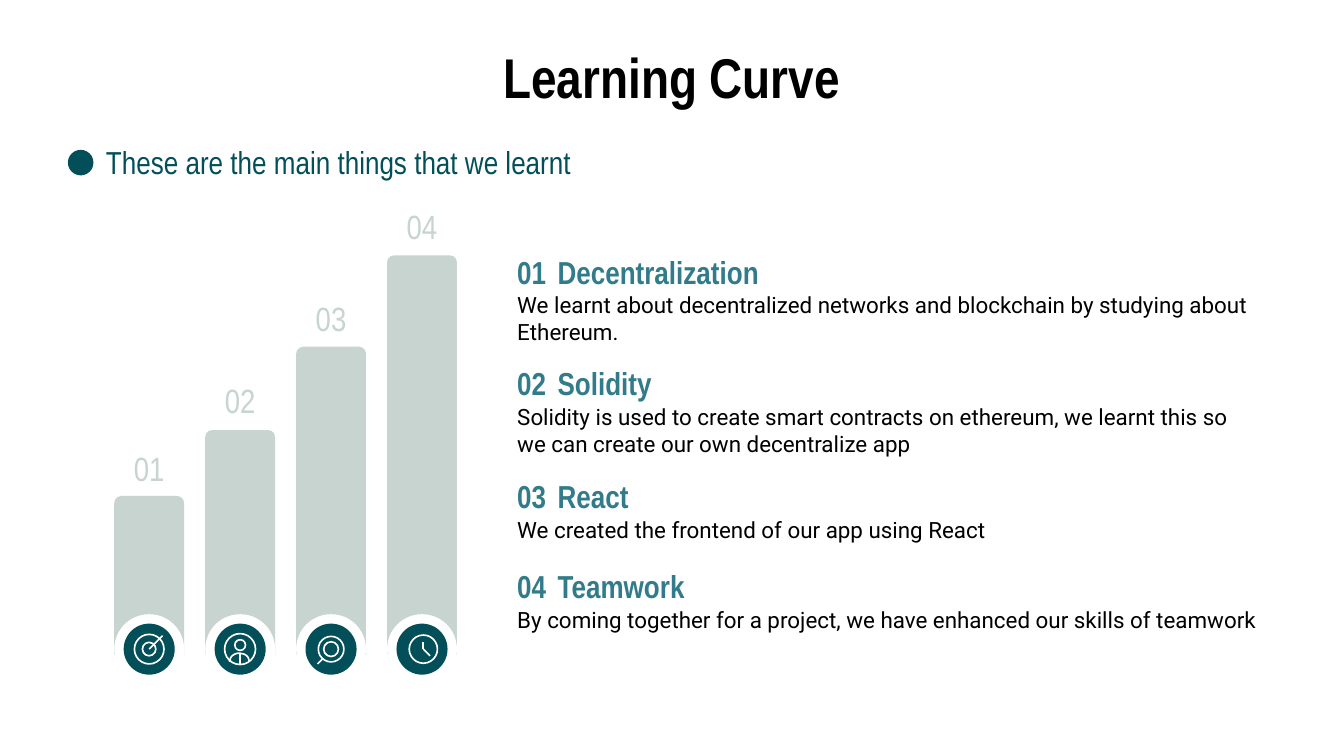
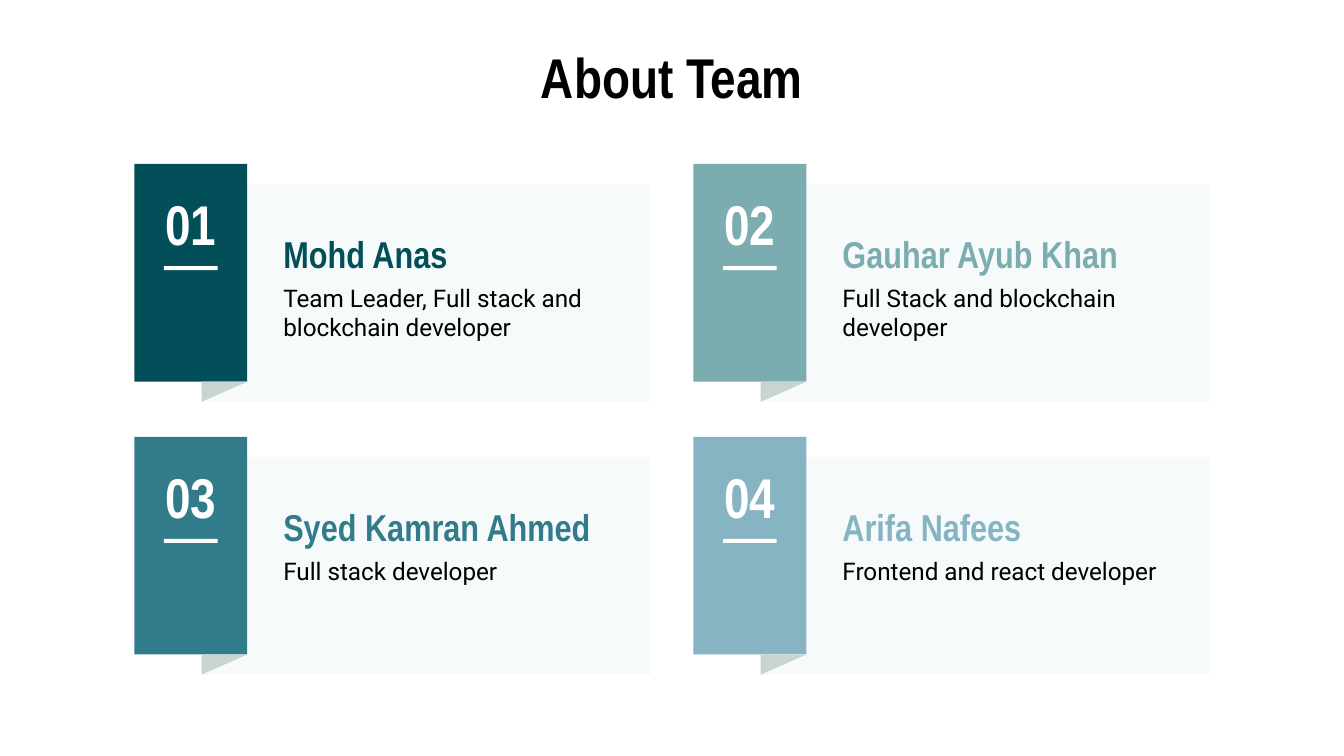
from dataclasses import dataclass
from typing import Union

from lxml import etree
from pptx import Presentation
from pptx.dml.color import RGBColor
from pptx.enum.shapes import MSO_CONNECTOR, MSO_SHAPE
from pptx.enum.text import MSO_ANCHOR, PP_ALIGN
from pptx.oxml.ns import qn
from pptx.shapes.autoshape import Shape
from pptx.shapes.shapetree import GroupShapes, SlideShapes
from pptx.slide import Slide
from pptx.util import Inches, Pt

Shapes = Union[SlideShapes, GroupShapes]

OVAL = MSO_SHAPE.OVAL
ARC = MSO_SHAPE.ARC
RECT = MSO_SHAPE.RECTANGLE
ROUND_TOP = MSO_SHAPE.ROUND_2_SAME_RECTANGLE
STRAIGHT = MSO_CONNECTOR.STRAIGHT
TOP = MSO_ANCHOR.TOP
LEFT = PP_ALIGN.LEFT
CENTER = PP_ALIGN.CENTER

DARK = "024F59"
TEAL = "327B8A"
SAGE = "7BACB0"
SKY = "86B4C2"
GREY = "C7D4CF"
PALE = "F7FAFB"
WHITE = "FFFFFF"
BLACK = "000000"

HEAD_FONT = "Arial Narrow"
BODY_FONT = "Roboto"
ICON_PEN = 0.88


@dataclass(frozen=True)
class Style:
    size: float
    color: str
    font: str = HEAD_FONT
    bold: bool = False
    align: PP_ALIGN = LEFT


@dataclass(frozen=True)
class Ring:
    x: float
    y: float
    size: float


@dataclass(frozen=True)
class Stroke:
    x1: float
    y1: float
    x2: float
    y2: float


@dataclass(frozen=True)
class Bar:
    top: float
    label: float
    rings: tuple[Ring, ...]
    strokes: tuple[Stroke, ...]


@dataclass(frozen=True)
class Topic:
    top: float
    name: str
    text: str


@dataclass(frozen=True)
class Member:
    name: str
    role: str
    color: str


BAR_LEFT, BAR_STEP, BAR_WIDTH = 0.85, (2.88 - 0.85) / 3, 0.52
BAR_FOOT, ICON_Y = 4.87, 4.83

BARS = [
    Bar(3.69, 3.23, (Ring(0, 0, 0.22), Ring(0, 0, 0.1)),
        (Stroke(0, 0, 0.1, -0.1),)),
    Bar(3.2, 2.73, (Ring(0, -0.03, 0.08), Ring(0, 0, 0.23)),
        (Stroke(0, 0.12, 0, 0.03),)),
    Bar(2.58, 2.12, (Ring(0, 0, 0.19), Ring(0, 0, 0.11)),
        (Stroke(-0.1, 0.11, -0.06, 0.07),)),
    Bar(1.9, 1.43, (Ring(0.01, 0, 0.21),),
        (Stroke(0.01, 0, 0.06, 0.05), Stroke(0.01, -0.05, 0.01, 0))),
]
PERSON = 1

TOPICS = [
    Topic(1.78, "Decentralization",
          "We learnt about decentralized networks and blockchain by "
          "studying about Ethereum."),
    Topic(2.61, "Solidity",
          "Solidity is used to create smart contracts on ethereum, we learnt "
          "this so we can create our own decentralize app"),
    Topic(3.45, "React", "We created the frontend of our app using React"),
    Topic(4.12, "Teamwork",
          "By coming together for a project, we have enhanced our skills "
          "of teamwork"),
]

TEAM = [
    Member("Mohd Anas", "Team Leader, Full stack and blockchain developer", DARK),
    Member("Gauhar Ayub Khan", "Full Stack and blockchain developer", SAGE),
    Member("Syed Kamran Ahmed", "Full stack developer", TEAL),
    Member("Arifa Nafees", "Frontend and react developer", SKY),
]


def rgb(value: str) -> RGBColor:
    return RGBColor.from_string(value)


def paint(shape: Shape, fill: str) -> Shape:
    shape.shadow.inherit = False
    shape.fill.solid()
    shape.fill.fore_color.rgb = rgb(fill)
    shape.line.fill.background()
    return shape


def outline(shape: Shape) -> Shape:
    shape.shadow.inherit = False
    shape.fill.background()
    shape.line.color.rgb = rgb(WHITE)
    shape.line.width = Pt(ICON_PEN)
    return shape


def place(shapes: Shapes, kind: MSO_SHAPE, x: float, y: float,
          w: float, h: float) -> Shape:
    return shapes.add_shape(kind, Inches(x), Inches(y), Inches(w), Inches(h))


def disc(shapes: Shapes, x: float, y: float, size: float) -> Shape:
    return place(shapes, OVAL, x - size / 2, y - size / 2, size, size)


def shape_from(shapes: Shapes, points: list[tuple[float, float]],
               fill: str) -> Shape:
    spots = [(Inches(x), Inches(y)) for x, y in points]
    pen = shapes.build_freeform(*spots[0])
    pen.add_line_segments(spots[1:], close=True)
    return paint(pen.convert_to_shape(), fill)


def stroke(shapes: Shapes, x1: float, y1: float, x2: float, y2: float) -> None:
    line = shapes.add_connector(STRAIGHT, Inches(x1), Inches(y1),
                                Inches(x2), Inches(y2))
    line.line.color.rgb = rgb(WHITE)
    line.line.width = Pt(ICON_PEN)
    etree.SubElement(line._element.spPr, qn("a:effectLst"))


def write(shapes: Shapes, text: str, x: float, y: float, w: float, h: float,
          style: Style) -> None:
    box = shapes.add_textbox(Inches(x), Inches(y), Inches(w), Inches(h))
    frame = box.text_frame
    frame.word_wrap = True
    frame.vertical_anchor = TOP
    frame.margin_left = frame.margin_right = Inches(0.1)
    frame.margin_top = frame.margin_bottom = Inches(0.1)
    frame.text = text
    for para in frame.paragraphs:
        para.alignment = style.align
        for run in para.runs:
            run.font.name = style.font
            run.font.size = Pt(style.size)
            run.font.bold = style.bold
            run.font.color.rgb = rgb(style.color)


def add_page(deck: Presentation, title: str) -> Slide:
    slide = deck.slides.add_slide(deck.slide_layouts[6])
    slide.background.fill.solid()
    slide.background.fill.fore_color.rgb = rgb(WHITE)
    write(slide.shapes, title, 2.53, 0.22, 4.94, 0.68,
          Style(30, BLACK, bold=True, align=CENTER))
    return slide


def draw_bar(shapes: Shapes, index: int, bar: Bar) -> None:
    x = BAR_LEFT + index * BAR_STEP
    mid = x + BAR_WIDTH / 2
    body = paint(place(shapes, ROUND_TOP, x, bar.top, BAR_WIDTH,
                       BAR_FOOT - bar.top), GREY)
    body.adjustments[0] = 0.1
    paint(disc(shapes, mid, ICON_Y, BAR_WIDTH), WHITE)
    paint(disc(shapes, mid, ICON_Y, 0.38), DARK)
    for ring in bar.rings:
        outline(disc(shapes, mid + ring.x, ICON_Y + ring.y, ring.size))
    for part in bar.strokes:
        stroke(shapes, mid + part.x1, ICON_Y + part.y1,
               mid + part.x2, ICON_Y + part.y2)
    if index == PERSON:
        torso = outline(place(shapes, ARC, mid - 0.08, ICON_Y + 0.03, 0.15, 0.13))
        torso.adjustments[0] = 108
        torso.adjustments[1] = 0
    write(shapes, f"{index + 1:02}", x, bar.label, BAR_WIDTH, 0.38,
          Style(18, GREY, align=CENTER))


def draw_topic(shapes: Shapes, index: int, topic: Topic) -> None:
    head = Style(17, TEAL, bold=True)
    write(shapes, f"{index + 1:02}", 3.75, topic.top, 0.44, 0.46, head)
    write(shapes, topic.text, 3.75, topic.top + 0.29, 5.72, 0.5,
          Style(12, BLACK, BODY_FONT))
    write(shapes, topic.name, 4.05, topic.top, 2.19, 0.46, head)


def draw_card(shapes: Shapes, index: int, member: Member) -> None:
    row, col = divmod(index, 2)
    x, y = 1 + col * 4.16, 1.22 + row * 2.03
    fold, edge, end = x + 0.5, x + 0.84, x + 3.84
    top, knee, foot = y + 0.15, y + 1.62, y + 1.77
    shape_from(shapes, [(edge, top), (edge, knee), (fold, foot),
                        (end, foot), (end, top)], PALE)
    paint(place(shapes, RECT, x, y, 0.84, 1.62), member.color)
    shape_from(shapes, [(fold, knee), (fold, foot), (edge, knee)], GREY)
    write(shapes, f"{index + 1:02}", x, y + 0.09, 0.84, 0.83,
          Style(30, WHITE, bold=True, align=CENTER))
    paint(place(shapes, RECT, x + 0.22, y + 0.76, 0.4, 0.03), WHITE)
    write(shapes, member.name, x + 1.01, y + 0.4, 2.65, 0.46,
          Style(20, member.color, bold=True))
    write(shapes, member.role, x + 1.01, y + 0.79, 2.65, 0.64,
          Style(13, BLACK, BODY_FONT))


def build_curve(deck: Presentation) -> None:
    shapes = add_page(deck, "Learning Curve").shapes
    paint(disc(shapes, 0.6, 1.21, 0.19), DARK)
    write(shapes, "These are the main things that we learnt",
          0.69, 0.96, 6.54, 0.46, Style(17, DARK))
    for index, bar in enumerate(BARS):
        draw_bar(shapes, index, bar)
    for index, topic in enumerate(TOPICS):
        draw_topic(shapes.add_group_shape().shapes, index, topic)


def build_team(deck: Presentation) -> None:
    shapes = add_page(deck, "About Team").shapes
    for index, member in enumerate(TEAM):
        draw_card(shapes.add_group_shape().shapes, index, member)


def main() -> None:
    deck = Presentation()
    deck.slide_width = Inches(10)
    deck.slide_height = Inches(10 * 9 / 16)
    build_curve(deck)
    build_team(deck)
    deck.save("out.pptx")


if __name__ == "__main__":
    main()
